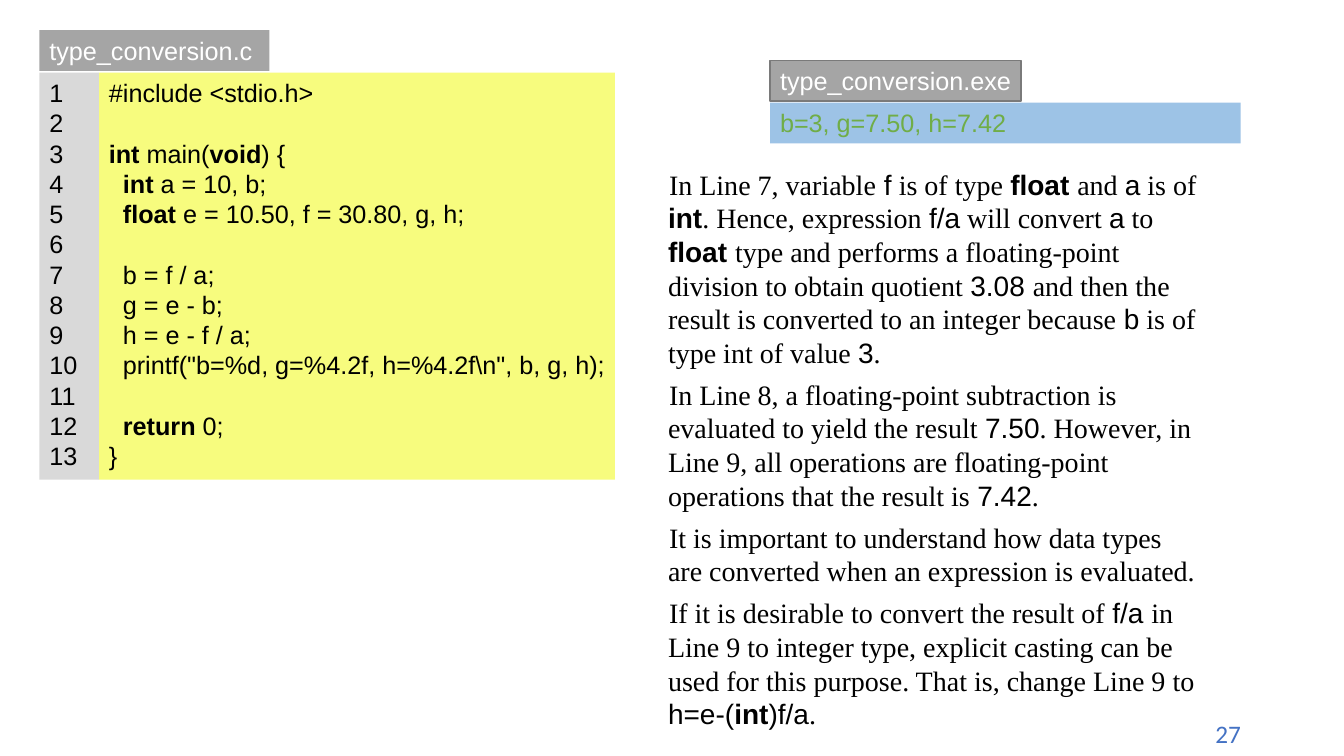
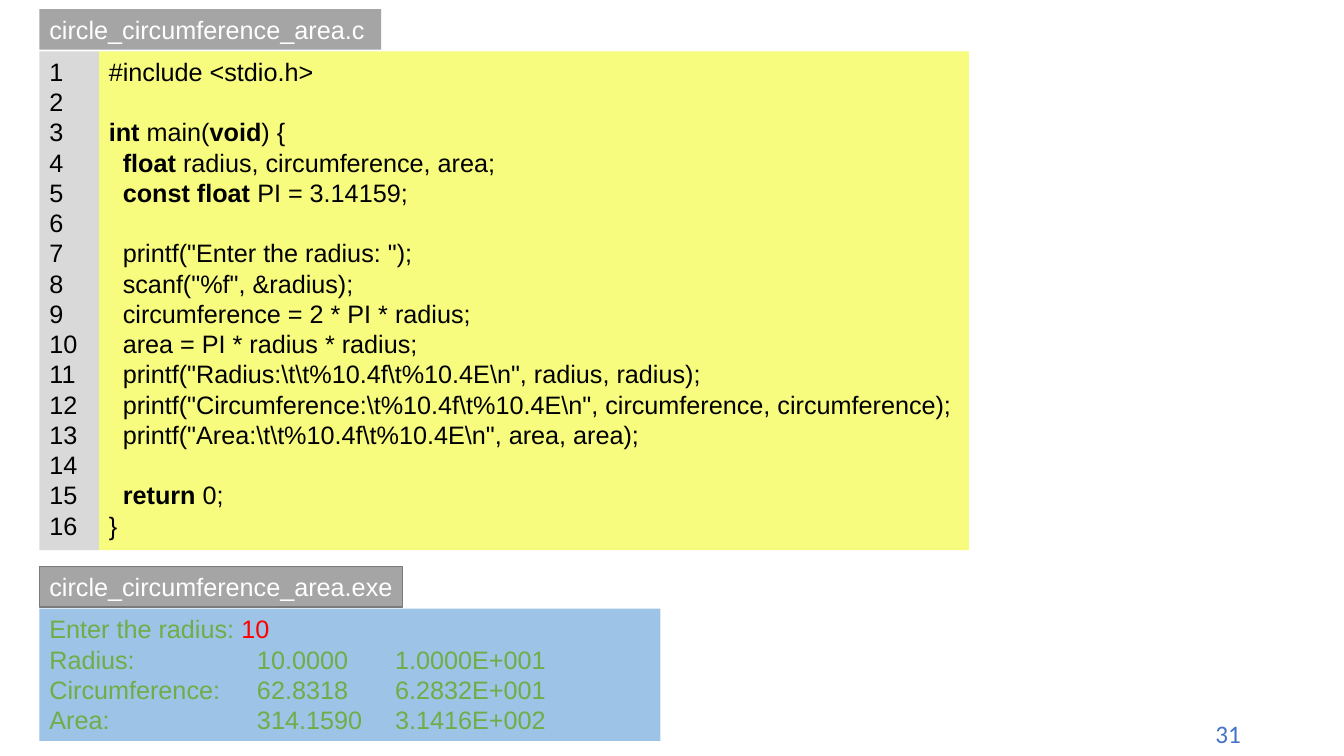
from dataclasses import dataclass

import pptx
import pptx.dml.color
import pptx.enum.shapes
import pptx.enum.text
import pptx.oxml.ns
import pptx.util
from lxml import etree
from pptx.shapes.autoshape import Shape
from pptx.slide import Slide

Pt = pptx.util.Pt

CODE_FONT = "Arial"
PROSE_FONT = "Times New Roman"
NUMBER_FONT = "Calibri"

BLACK = "000000"
WHITE = "FFFFFF"
TAB_GREY = "A5A5A5"
TAB_OUTLINE = "7A7A7A"
GUTTER_GREY = "D9D9D9"
CODE_YELLOW = "F7FC7E"
CONSOLE_BLUE = "9DC3E6"
CONSOLE_GREEN = "70AD47"
INPUT_RED = "FF0000"
NUMBER_BLUE = "4472C4"

MARGIN_LEFT = 28.2
GUTTER_WIDTH = 42.5
LINE_HEIGHT = 21.82
TAB_STEP = 30.2
CONSOLE_TAB_STOPS = (148.3, 247)


@dataclass
class Panel:
    """A file-name tab with lines of text under it; lengths in points."""

    name: str
    lines: list[str]
    left: float
    top: float
    tab_width: float
    width: float


@dataclass
class Page:
    number: int
    source: Panel
    console: Panel
    explanation: list[str]


def colour(value: str) -> pptx.dml.color.RGBColor:
    return pptx.dml.color.RGBColor.from_string(value)


def box_height(line_count: int) -> float:
    return 7.2 + LINE_HEIGHT * line_count


def add_tab_stops(paragraph, stops: tuple[float, ...]) -> None:
    tab_list = etree.SubElement(
        paragraph._p.get_or_add_pPr(), pptx.oxml.ns.qn("a:tabLst"))
    for stop in stops:
        etree.SubElement(tab_list, pptx.oxml.ns.qn("a:tab"),
                         pos=str(int(Pt(stop))), algn="l")


def size_empty_line(paragraph, font: str, size: float) -> None:
    end = etree.SubElement(paragraph._p, pptx.oxml.ns.qn("a:endParaRPr"),
                           sz=str(int(size * 100)))
    etree.SubElement(end, pptx.oxml.ns.qn("a:latin"), typeface=font)


def write_text(shape: Shape, lines: list[str], *, font: str = CODE_FONT,
               size: float = 18, text_colour: str = BLACK,
               marked_font: str = CODE_FONT, marked_colour: str = BLACK,
               align=pptx.enum.text.PP_ALIGN.LEFT, space_before: float = 0,
               margin_left: float = 0, indent: float = 0,
               tab_stops: tuple[float, ...] = (),
               right_inset: float = 0) -> None:
    """Write one paragraph a line: `marked` takes the marked format, **text** is bold."""
    frame = shape.text_frame
    frame.word_wrap = True
    frame.vertical_anchor = pptx.enum.text.MSO_ANCHOR.TOP
    frame.margin_right = Pt(right_inset)
    for index, line in enumerate(lines):
        paragraph = frame.add_paragraph() if index else frame.paragraphs[0]
        paragraph.alignment = align
        if index and space_before:
            paragraph.space_before = Pt(space_before)
        if margin_left:
            properties = paragraph._p.get_or_add_pPr()
            properties.set("marL", str(int(Pt(margin_left))))
            properties.set("indent", str(int(Pt(indent))))
        if "\t" in line:
            add_tab_stops(paragraph, tab_stops)
        if not line:
            size_empty_line(paragraph, font, size)
        for part_index, part in enumerate(line.split("`")):
            marked = part_index % 2 == 1
            for piece_index, piece in enumerate(part.split("**")):
                if not piece:
                    continue
                run = paragraph.add_run()
                run.text = piece
                run.font.name = marked_font if marked else font
                run.font.size = Pt(size)
                run.font.bold = piece_index % 2 == 1
                run.font.color.rgb = colour(
                    marked_colour if marked else text_colour)


def add_box(slide: Slide, left: float, top: float, width: float,
            height: float, fill: str, line: str | None = None) -> Shape:
    shape = slide.shapes.add_shape(
        pptx.enum.shapes.MSO_SHAPE.RECTANGLE,
        Pt(left), Pt(top), Pt(width), Pt(height))
    shape.shadow.inherit = False
    shape.fill.solid()
    shape.fill.fore_color.rgb = colour(fill)
    if line:
        shape.line.color.rgb = colour(line)
        shape.line.width = Pt(1)
    else:
        shape.line.fill.background()
    return shape


def add_name_tab(slide: Slide, panel: Panel, line: str | None = None) -> None:
    tab = add_box(slide, panel.left, panel.top, panel.tab_width,
                  box_height(1), TAB_GREY, line)
    write_text(tab, [panel.name], text_colour=WHITE)


def add_source(slide: Slide, panel: Panel) -> None:
    add_name_tab(slide, panel)
    top = panel.top + TAB_STEP
    count = len(panel.lines)
    code = add_box(slide, panel.left + GUTTER_WIDTH, top, panel.width,
                   box_height(count), CODE_YELLOW)
    write_text(code, panel.lines)
    gutter = add_box(slide, panel.left, top, GUTTER_WIDTH,
                     box_height(count), GUTTER_GREY)
    write_text(gutter, [str(number) for number in range(1, count + 1)])


def add_console(slide: Slide, panel: Panel) -> None:
    output = add_box(slide, panel.left, panel.top + TAB_STEP, panel.width,
                     box_height(len(panel.lines)), CONSOLE_BLUE)
    write_text(output, panel.lines, text_colour=CONSOLE_GREEN,
               marked_colour=INPUT_RED, tab_stops=CONSOLE_TAB_STOPS)
    add_name_tab(slide, panel, TAB_OUTLINE)


def add_explanation(slide: Slide, paragraphs: list[str]) -> None:
    box = slide.shapes.add_textbox(Pt(465.8), Pt(115.9), Pt(398.9), Pt(413.3))
    write_text(box, paragraphs, font=PROSE_FONT, size=20, space_before=6,
               margin_left=4.3, indent=0.7, right_inset=7.2)


def add_page_number(slide: Slide, number: int) -> None:
    box = slide.shapes.add_textbox(Pt(780.5), Pt(509.8), Pt(113), Pt(29))
    write_text(box, [str(number)], font=NUMBER_FONT, text_colour=NUMBER_BLUE,
               align=pptx.enum.text.PP_ALIGN.RIGHT, right_inset=7.2)


PAGES = [
    Page(
        number=27,
        source=Panel("type_conversion.c", [
            "#include <stdio.h>",
            "",
            "**int **main(**void**) {",
            "  **int **a = 10, b;",
            "  **float **e = 10.50, f = 30.80, g, h;",
            "",
            "  b = f / a;",
            "  g = e - b;",
            "  h = e - f / a;",
            r'  printf("b=%d, g=%4.2f, h=%4.2f\n", b, g, h);',
            "",
            "  **return **0;",
            "}",
        ], left=MARGIN_LEFT, top=21.6, tab_width=164.2, width=368.6),
        console=Panel("type_conversion.exe", ["b=3, g=7.50, h=7.42"],
                      left=550.1, top=43.2, tab_width=179.3, width=336.2),
        explanation=[
            "In Line 7, variable` f` is of type `**float **`and `a` is of "
            "`**int**`. Hence, expression `f/a` will convert `a` to "
            "`**float **`type and performs a floating-point division to "
            "obtain quotient `3.08 `and then the result is converted to an "
            "integer because `b` is of type int of value `3`.",
            "In Line 8, a floating-point subtraction is evaluated to yield "
            "the result `7.50`. However, in Line 9, all operations are "
            "floating-point operations that the result is `7.42`.",
            "It is important to understand how data types are converted "
            "when an expression is evaluated.",
            "If it is desirable to convert the result of `f/a `in Line 9 to "
            "integer type, explicit casting can be used for this purpose. "
            "That is, change Line 9 to `h=e-(**int**)f/a`.",
        ],
    ),
    Page(
        number=31,
        source=Panel("circle_circumference_area.c", [
            "#include <stdio.h>",
            "",
            "**int **main(**void**) {",
            "  **float **radius, circumference, area;",
            "  **const float **PI = 3.14159;",
            "",
            '  printf("Enter the radius: ");',
            '  scanf("%f", &radius);',
            "  circumference = 2 * PI * radius;",
            "  area = PI * radius * radius;",
            r'  printf("Radius:\t\t%10.4f\t%10.4E\n", radius, radius);',
            r'  printf("Circumference:\t%10.4f\t%10.4E\n", '
            "circumference, circumference);",
            r'  printf("Area:\t\t%10.4f\t%10.4E\n", area, area);',
            "",
            "  **return **0;",
            "}",
        ], left=MARGIN_LEFT, top=6.5, tab_width=244.1, width=621.4),
        console=Panel("circle_circumference_area.exe", [
            "Enter the radius: `10`",
            "Radius: \t10.0000\t1.0000E+001",
            "Circumference:\t62.8318\t6.2832E+001",
            "Area:\t314.1590\t3.1416E+002",
        ], left=MARGIN_LEFT, top=404.6, tab_width=259.2, width=443.5),
        explanation=[],
    ),
]


def main() -> None:
    presentation = pptx.Presentation()
    presentation.slide_width = Pt(960)
    presentation.slide_height = Pt(540)
    blank_layout = presentation.slide_layouts[6]
    for page in PAGES:
        slide = presentation.slides.add_slide(blank_layout)
        add_page_number(slide, page.number)
        add_source(slide, page.source)
        add_console(slide, page.console)
        if page.explanation:
            add_explanation(slide, page.explanation)
    presentation.save("out.pptx")


if __name__ == "__main__":
    main()
